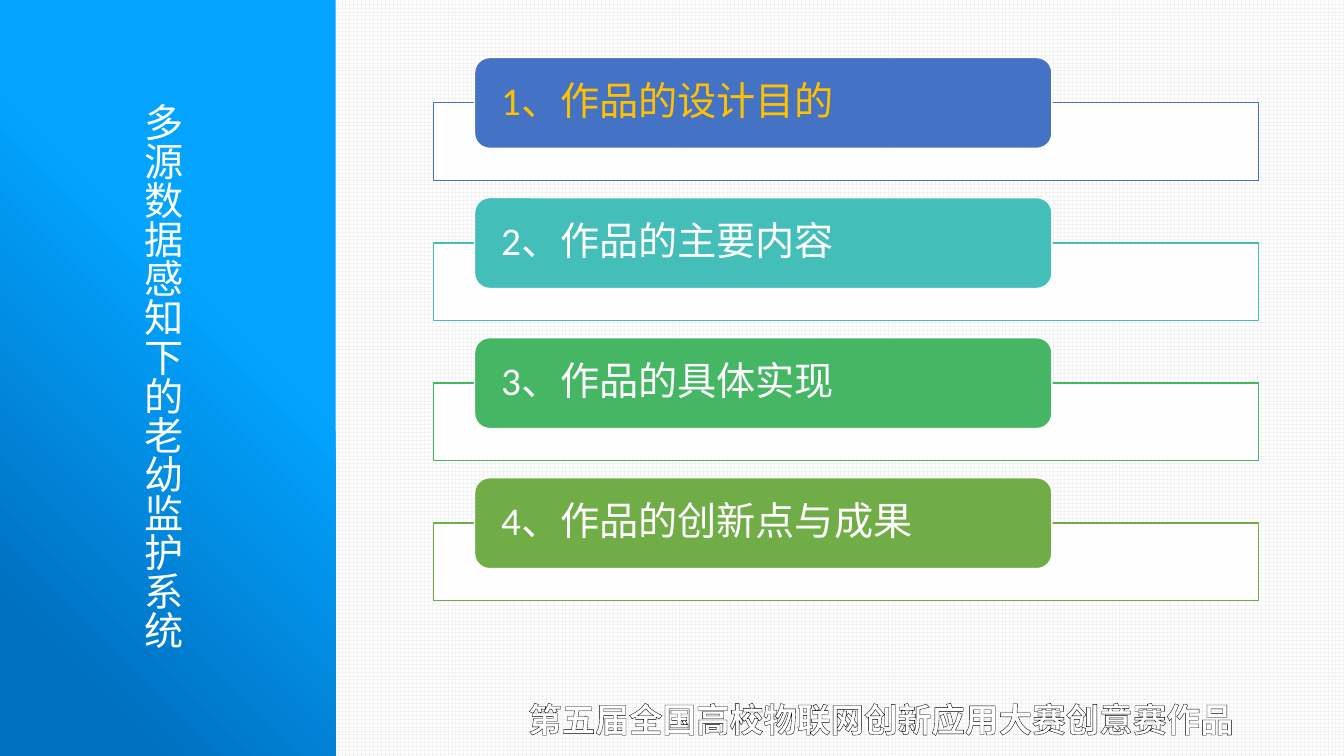
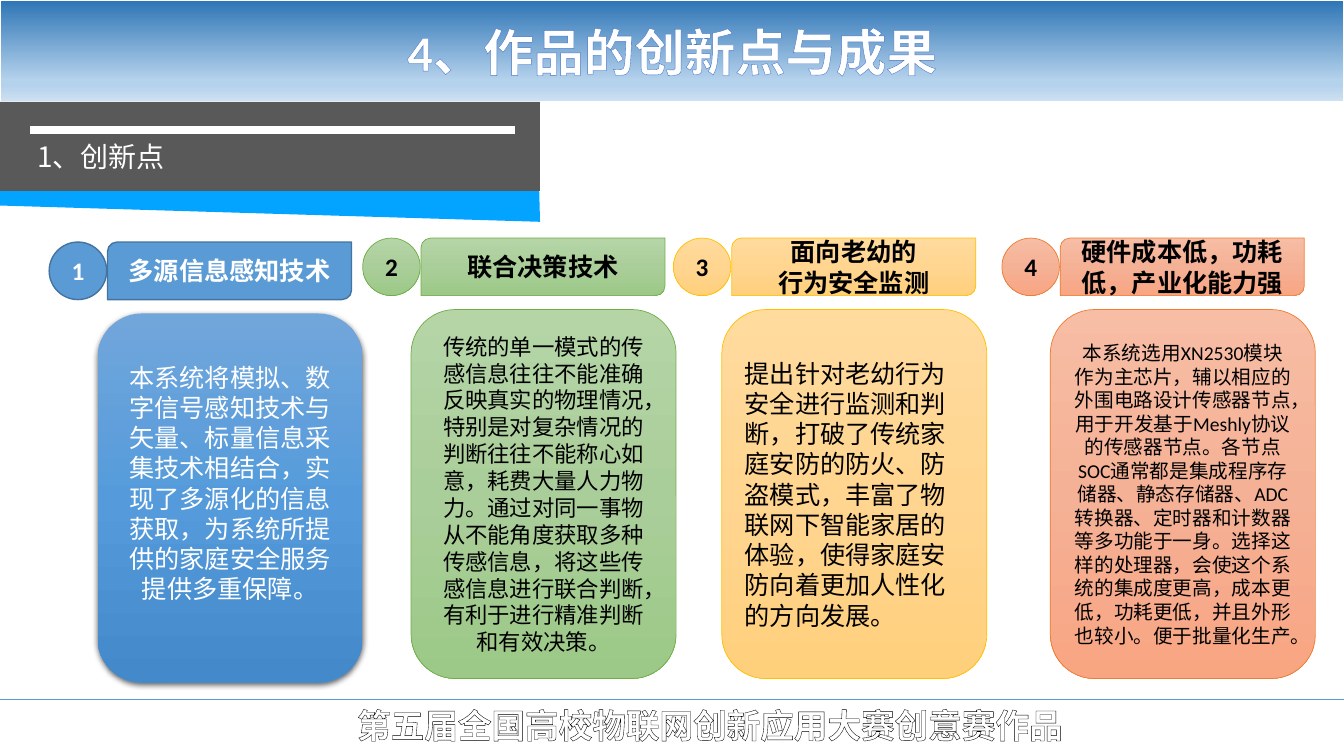
from lxml import etree
from pptx import Presentation
from pptx import util as u
from pptx.dml.color import RGBColor
from pptx.enum import dml, shapes, text
from pptx.oxml.ns import qn

Cm, Pt = u.Cm, u.Pt
SHAPE = shapes.MSO_SHAPE
ALIGN = text.PP_ALIGN
ANCHOR = text.MSO_ANCHOR

WIDTH, HEIGHT = 33.87, 19.05
FONT, CJK, CJK_JP = "Calibri", "Noto Sans CJK SC", "Noto Sans CJK JP"
C = {
    "white": "FFFFFF", "black": "000000", "grid": "F2F2F2", "gold": "FFC000",
    "sky": "02A4FF", "deep": "0070C0", "gray": "595959",
    "indigo": "4472C4", "teal": "43BEB9", "green": "45B664", "olive": "70AD47",
    "blue": "5B9BD5", "navy": "43739E", "orange": "ED7D31",
}
SIDE_STOPS = [(38, C["sky"]), (86, C["deep"]), (100, C["deep"])]
BAND_STOPS = [(0, "2E75B6"), (79, "B5D2EC"), (84, "B5D2EC"), (100, "CEE1F2")]
BLUE_STOPS = [(0, "71A6DB"), (50, "559BDB"), (100, "448ACA")]
GREEN_STOPS = [(0, "B5D5A7"), (50, "AACE9A"), (100, "9CC987")]
YELLOW_STOPS = [(0, "FFDB9E"), (50, "FFD590"), (100, "FFD07C")]
ORANGE_STOPS = [(0, "F7BDA5"), (50, "F5B196"), (100, "F8A582")]

FOOTER = "第五届全国高校物联网创新应用大赛创意赛作品"
AGENDA = [
    ("1、作品的设计目的", C["indigo"], C["gold"]),
    ("2、作品的主要内容", C["teal"], C["white"]),
    ("3、作品的具体实现", C["green"], C["white"]),
    ("4、作品的创新点与成果", C["olive"], C["white"]),
]
INNOVATIONS = [
    dict(left=1.24, top=6.1, fill=C["blue"], card_fill=BLUE_STOPS,
         line=(C["navy"], 1), card_line=None, color=C["white"], size=18,
         label="多源信息感知技术",
         body="本系统将模拟、数字信号感知技术与矢量、标量信息采集技术相结合，"
              "实现了多源化的信息获取，为系统所提供的家庭安全服务提供多重保障。"),
    dict(left=9.14, top=6, fill=GREEN_STOPS, line=(C["olive"], 0.5), size=16,
         label="联合决策技术",
         body="传统的单一模式的传感信息往往不能准确反映真实的物理情况，"
              "特别是对复杂情况的判断往往不能称心如意，耗费大量人力物力。"
              "通过对同一事物从不能角度获取多种传感信息，"
              "将这些传感信息进行联合判断，有利于进行精准判断和有效决策。"),
    dict(left=16.97, top=6, fill=YELLOW_STOPS, line=(C["gold"], 0.5), size=18,
         align=ALIGN.LEFT, label="面向老幼的\n行为安全监测",
         body="提出针对老幼行为安全进行监测和判断，"
              "打破了传统家庭安防的防火、防盗模式，丰富了物联网下智能家居的体验，"
              "使得家庭安防向着更加人性化的方向发展。"),
    dict(left=25.25, top=6, fill=ORANGE_STOPS, line=(C["orange"], 0.5), size=14,
         label="硬件成本低，功耗低，产业化能力强",
         body="本系统选用XN2530模块作为主芯片，辅以相应的外围电路设计传感器节点，"
              "用于开发基于Meshly协议的传感器节点。"
              "各节点SOC通常都是集成程序存储器、静态存储器、ADC转换器、"
              "定时器和计数器等多功能于一身。选择这样的处理器，"
              "会使这个系统的集成度更高，成本更低，功耗更低，并且外形也较小。"
              "便于批量化生产。"),
]


def rgb(color):
    return RGBColor.from_string(color)


def paint(sp, fill, line=None, angle=90):
    """Fill with a colour or a list of gradient stops; line is (colour, points)."""
    if isinstance(fill, str):
        sp.fill.solid()
        sp.fill.fore_color.rgb = rgb(fill)
    else:
        sp.fill.gradient()
        sp.fill.gradient_angle = 360 - angle
        stops = next(sp.element.iter(qn("a:gsLst")))
        for gs in list(stops):
            stops.remove(gs)
        for pos, color in fill:
            gs = etree.SubElement(stops, qn("a:gs"), pos=str(pos * 1000))
            etree.SubElement(gs, qn("a:srgbClr"), val=color)
    if line:
        sp.line.color.rgb = rgb(line[0])
        sp.line.width = Pt(line[1])
    else:
        sp.line.fill.background()


def place(sp, left, top, width, height):
    sp.left, sp.top, sp.width, sp.height = map(Cm, (left, top, width, height))


def add_shape(s, kind, box, fill, line=None, angle=90):
    sp = s.shapes.add_shape(kind, *map(Cm, box))
    sp.shadow.inherit = False
    paint(sp, fill, line, angle)
    return sp


def add_line(s, x1, x2, y, color, width):
    ln = s.shapes.add_connector(shapes.MSO_CONNECTOR.STRAIGHT, *map(Cm, (x1, y, x2, y)))
    ln.line.color.rgb = rgb(color)
    ln.line.width = Pt(width)
    etree.SubElement(ln.element.spPr, qn("a:effectLst"))


def write(sp, content, size, color, bold=False, align=ALIGN.CENTER,
          anchor=ANCHOR.MIDDLE, font=FONT, cjk=CJK):
    tf = sp.text_frame
    tf.word_wrap = True
    tf.auto_size = text.MSO_AUTO_SIZE.NONE
    tf.vertical_anchor = anchor
    tf.text = content
    for p in tf.paragraphs:
        p.alignment = align
        f = p.font
        f.name, f.size, f.bold = font, Pt(size), bold
        f.color.rgb = rgb(color)
        f._element.find(qn("a:latin")).addnext(
            etree.Element(qn("a:ea"), typeface=cjk))
    return tf


def outline_text(tf, color, width):
    for p in tf.paragraphs:
        for r in p.runs:
            ln = etree.Element(qn("a:ln"), w=str(Pt(width)))
            fill = etree.SubElement(ln, qn("a:solidFill"))
            etree.SubElement(fill, qn("a:srgbClr"), val=color)
            r.font._element.insert(0, ln)


def add_text(s, box, content, size, color, **style):
    sp = s.shapes.add_textbox(*map(Cm, box))
    return write(sp, content, size, color, anchor=ANCHOR.TOP, **style)


def add_footer(s, left, top, width):
    tf = add_text(s, (left, top, width, 1.28), FOOTER, 24, C["white"],
                  bold=True, font=CJK)
    outline_text(tf, C["black"], 1)


def make_translucent(sp, percent):
    color = next(sp.element.iter(qn("a:srgbClr")))
    etree.SubElement(color, qn("a:alpha"), val=str(percent * 1000))


def add_drop_shadow(sp):
    effects = sp.element.spPr.find(qn("a:effectLst"))
    shadow = etree.SubElement(effects, qn("a:outerShdw"), blurRad=str(Pt(4.5)),
                              dist=str(Pt(1.5)), dir="5400000", rotWithShape="0")
    color = etree.SubElement(shadow, qn("a:srgbClr"), val=C["black"])
    etree.SubElement(color, qn("a:alpha"), val="63000")


def add_agenda_row(s, top, content, color, text_color):
    frame = add_shape(s, SHAPE.RECTANGLE, (10.92, top + 1.14, 20.8, 1.96),
                      C["white"], (color, 1))
    make_translucent(frame, 90)
    pill = add_shape(s, SHAPE.ROUNDED_RECTANGLE, (11.96, top, 14.55, 2.29),
                     color, (C["white"], 1))
    tf = write(pill, content, 28, text_color, align=ALIGN.LEFT)
    tf.margin_left = tf.margin_right = Cm(0.56)
    tf.margin_top = tf.margin_bottom = 0
    tf.paragraphs[0].line_spacing = 0.9


def add_section_tag(s, content):
    """Grey tag with a slanted blue edge below it and a white rule on top."""
    points = [(13.54, 2.92), (13.61, 5.59), (0, 5.18)]
    fb = s.shapes.build_freeform(0, Cm(2.92))
    fb.add_line_segments([(Cm(x), Cm(y)) for x, y in points])
    edge = fb.convert_to_shape()
    edge.shadow.inherit = False
    paint(edge, C["sky"])
    add_shape(s, SHAPE.RECTANGLE, (0, 2.57, 13.61, 2.24), C["gray"])
    add_text(s, (0.69, 3.4, 13.67, 1.12), content, 20, C["white"],
             align=ALIGN.LEFT, font=CJK_JP, cjk=CJK_JP)
    add_line(s, 0.76, 12.98, 3.28, C["white"], 6)


def add_innovation(s, number, item):
    """Numbered circle and label above a rounded card of text."""
    left, top, fill, line = (item[k] for k in ("left", "top", "fill", "line"))
    color = item.get("color", C["black"])
    card_line = item.get("card_line", line)
    card = add_shape(s, SHAPE.ROUNDED_RECTANGLE, (left + 1.22, top + 1.8, 6.68, 9.3),
                     item.get("card_fill", fill), card_line)
    tf = write(card, item["body"], item["size"], color,
               align=item.get("align", ALIGN.CENTER))
    if not card_line:
        add_drop_shadow(card)
        tf.margin_bottom = Cm(0.89)
    circle = add_shape(s, SHAPE.OVAL, (left, top, 1.45, 1.45), fill, line)
    write(circle, str(number), 18, color, bold=True)
    label = add_shape(s, SHAPE.ROUND_2_DIAG_RECTANGLE,
                      (left + 1.47, top, 6.15, 1.45), fill, line)
    write(label, item["label"], 18, color, bold=True)


def add_agenda_slide(prs):
    s = prs.slides.add_slide(prs.slide_layouts[5])
    bg = s.background.fill
    bg.patterned()
    bg.pattern = dml.MSO_PATTERN.LARGE_GRID
    bg.fore_color.rgb = rgb(C["grid"])
    bg.back_color.rgb = rgb(C["white"])

    title = s.shapes.title
    place(title, 2.46, 2.46, 2.49, 14.48)
    tf = write(title, "多源数据感知下的老幼监护系统", 28, C["white"],
               align=ALIGN.LEFT, anchor=ANCHOR.TOP)
    tf._txBody.bodyPr.set("vert", "eaVert")
    side = add_shape(s, SHAPE.RECTANGLE, (0, 0, 8.46, HEIGHT), SIDE_STOPS, angle=135)
    title.element.addprevious(side.element)

    add_footer(s, 12.32, 17.48, 19.76)
    for i, row in enumerate(AGENDA):
        add_agenda_row(s, 1.45 + i * 3.53, *row)


def add_innovation_slide(prs):
    s = prs.slides.add_slide(prs.slide_layouts[5])
    title = s.shapes.title
    place(title, 0, 0, WIDTH, 2.57)
    paint(title, BAND_STOPS, (C["white"], 1.5))
    tf = write(title, "4、作品的创新点与成果", 36, C["white"], bold=True)
    outline_text(tf, C["indigo"], 0.8)

    add_line(s, 0, WIDTH, 17.63, C["blue"], 0.5)
    add_footer(s, 6.5, 17.63, 22.78)
    add_section_tag(s, "1、创新点")
    for number, item in enumerate(INNOVATIONS, 1):
        add_innovation(s, number, item)


def main():
    prs = Presentation()
    prs.slide_width, prs.slide_height = Cm(WIDTH), Cm(HEIGHT)
    add_agenda_slide(prs)
    add_innovation_slide(prs)
    prs.save("out.pptx")


if __name__ == "__main__":
    main()
